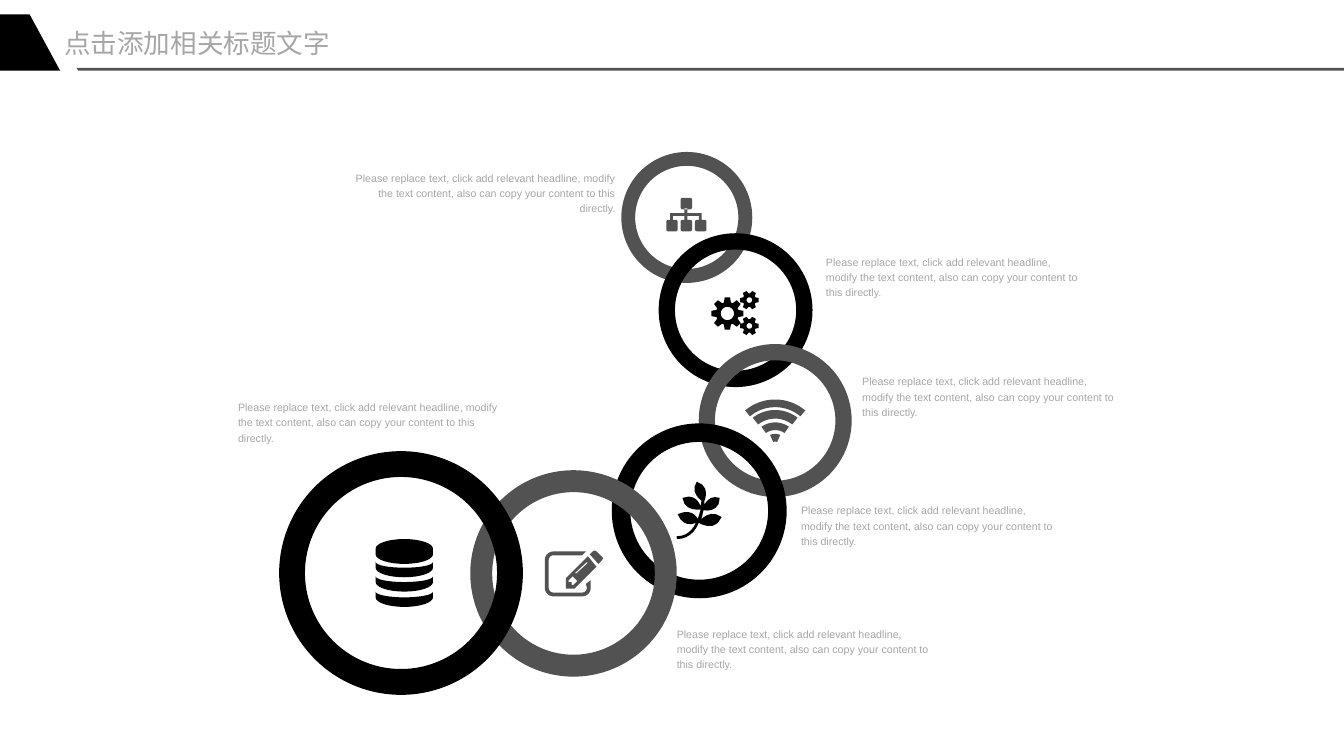
from math import cos, radians, sin

from pptx import Presentation
from pptx.dml.color import RGBColor
from pptx.enum.shapes import MSO_SHAPE
from pptx.enum.text import MSO_ANCHOR, MSO_AUTO_SIZE, PP_ALIGN
from pptx.util import Emu, Pt

DONUT = MSO_SHAPE.DONUT
TOP = MSO_ANCHOR.TOP
GROW = MSO_AUTO_SIZE.SHAPE_TO_FIT_TEXT
LEFT, RIGHT = PP_ALIGN.LEFT, PP_ALIGN.RIGHT

BLACK = RGBColor(0x00, 0x00, 0x00)
DARK = RGBColor(0x52, 0x52, 0x52)
PALE = RGBColor(0xA6, 0xA6, 0xA6)
FONT = "Arial"
WIDE, HIGH = 1406, 791
NOTE = ("Please replace text, click add relevant headline, modify the text "
        "content, also can copy your content to this directly.")


def px(n):
    """Turn px, 100 to the inch, into EMU."""
    return Emu(round(n * 9144))


def paint(shape, color):
    shape.shadow.inherit = False
    shape.fill.solid()
    shape.fill.fore_color.rgb = color
    shape.line.fill.background()


def draw(slide, x, y, loops, color):
    """Draw closed loops, given relative to x, y, as one shape."""
    pen = None
    for loop in loops:
        first, *rest = [(px(x + a), px(y + b)) for a, b in loop]
        if pen is None:
            pen = slide.shapes.build_freeform(*first, scale=1.0)
        else:
            pen.move_to(*first)
        pen.add_line_segments(rest, close=True)
    paint(pen.convert_to_shape(), color)


def write(shape, text, size=8, align=LEFT, lead=None, after=0):
    frame = shape.text_frame
    frame.margin_left = frame.margin_right = 0
    frame.margin_top = frame.margin_bottom = 0
    frame.word_wrap = True
    frame.auto_size = GROW
    frame.vertical_anchor = TOP
    frame.text = text
    para = frame.paragraphs[0]
    para.alignment = align
    para.line_spacing = lead
    para.space_before = Pt(0)
    para.space_after = Pt(after)
    para.font.size = Pt(size)
    para.font.name = FONT
    para.font.bold = False
    para.font.color.rgb = PALE


def arc(cx, cy, rx, ry, start, end, steps=16):
    """Points along an ellipse, in degrees clockwise from the right."""
    turns = [radians(start + (end - start) * i / steps)
             for i in range(steps + 1)]
    return [(cx + rx * cos(t), cy + ry * sin(t)) for t in turns]


def curve(points, steps=6):
    """Points along a chain of cubic curves."""
    out = [points[0]]
    for i in range(0, len(points) - 1, 3):
        a, b, c, d = points[i:i + 4]
        for k in range(1, steps + 1):
            t = k / steps
            u = 1 - t
            out.append(tuple(
                u**3 * p + 3 * u * u * t * q + 3 * u * t * t * r + t**3 * s
                for p, q, r, s in zip(a, b, c, d)))
    return out


def tile(x, y, w, h, r):
    """A rectangle with round corners."""
    spots = [(x + r, y + r, 180), (x + w - r, y + r, 270),
             (x + w - r, y + h - r, 0), (x + r, y + h - r, 90)]
    return [p for cx, cy, t in spots for p in arc(cx, cy, r, r, t, t + 90, 4)]


def gear(cx, cy, tip, root, hole, teeth):
    step = 360 / teeth
    rim = []
    for i in range(teeth):
        for r, part in ((root, -.4), (tip, -.21), (tip, .21), (root, .4)):
            t = radians(step * (i + part))
            rim.append((cx + r * cos(t), cy + r * sin(t)))
    return [rim, arc(cx, cy, hole, hole, 0, 360)]


def chart():
    bus = [(19, 11), (22, 11), (22, 16), (37, 16), (37, 23), (34, 23),
           (34, 19), (22, 19), (22, 23), (19, 23), (19, 19), (7, 19),
           (7, 23), (4, 23), (4, 16), (19, 16)]
    spots = [(15, 0), (0, 23), (15, 23), (30, 23)]
    return [bus] + [tile(x, y, 12, 12, 2) for x, y in spots]


def gears():
    return (gear(17, 23, 17, 12, 7, 8) + gear(40, 9, 10, 7, 3, 6)
            + gear(40, 36, 10, 7, 3, 6))


def waves():
    bands = [(49, 41, 40), (38, 29, 38), (25, 17, 35), (13, 5, 24)]
    return [arc(31, 49, out, out, 270 - t, 270 + t)
            + arc(31, 49, inn, inn, 270 + t, 270 - t)
            for out, inn, t in bands]


def leaf():
    return [curve([
        (23, 43), (19, 54), (10, 60), (1, 60), (0, 60), (0, 59), (0, 58),
        (0, 57), (0, 57), (1, 57), (9, 57), (16, 52), (20, 43),
        (16, 45), (6, 47), (1, 34), (14, 28), (20, 35), (22, 39),
        (23, 36), (24, 33), (25, 29), (25, 29), (8, 32), (6, 17),
        (21, 11), (25, 26), (25, 26), (25, 25), (26, 20), (26, 20),
        (26, 20), (13, 11), (21, 0), (36, 5), (29, 20), (29, 20),
        (29, 20), (29, 23), (29, 24), (29, 24), (34, 13), (45, 17),
        (45, 33), (28, 30), (28, 30), (27, 33), (27, 37), (25, 40),
        (25, 40), (35, 28), (47, 37), (40, 54), (23, 43), (23, 43)])]


def pencil():
    left, right, top, low = 9, 39, 10, 39
    frame = ([(43, 1)] + arc(left, top, 9, 9, 270, 180)
             + arc(left, low, 9, 9, 180, 90) + arc(right, low, 9, 9, 90, 0)
             + [(48, 31), (43, 35)] + arc(right, low, 5, 5, 0, 90)
             + arc(left, low, 5, 5, 90, 180)
             + arc(left, top, 5, 5, 180, 270) + [(39, 5)])
    body = [(54, 17), (31, 40), (22, 40), (22, 29), (45, 6)]
    nib = [(34, 32), (29, 27), (25, 31), (25, 33), (28, 33), (28, 36),
           (30, 36)]
    slit = [(44, 12), (32, 23), (32, 24), (33, 24), (45, 13)]
    cap = [(56, 14), (47, 4), (50, 1), (52, 0), (54, 1), (59, 6), (61, 8),
           (59, 11)]
    return [frame, body, nib, slit, cap]


def disks():
    lid = arc(30, 16, 30, 10, 0, 180) + arc(30, 10, 30, 10, 180, 360)
    return [lid] + [arc(30, y + 6, 30, 10, 0, 180)
                    + arc(30, y, 30, 6, 180, 0) for y in (24, 39, 55)]


# Ring (x, y, size), color, icon, icon spot, note (x, y, width), alignment
LINKS = [
    ((650, 159, 137), DARK, chart, (697, 207), (371, 177, 273), RIGHT),
    ((689, 244, 161), BLACK, gears, (744, 305), (864, 265, 271), LEFT),
    ((731, 360, 160), DARK, waves, (780, 418), (902, 390, 271), LEFT),
    ((640, 443, 183), BLACK, leaf, (708, 504), (838, 525, 271), LEFT),
    ((492, 492, 216), DARK, pencil, (570, 576), (708, 654, 271), LEFT),
    ((292, 472, 255), BLACK, disks, (393, 564), (249, 417, 273), LEFT),
]


def header(slide, x, y, w, h):
    """Title, wedge at the left and rule along the foot of the box."""
    title = slide.shapes.title
    title.left, title.top = px(x + 67), px(y + 13)
    title.width, title.height = px(335), px(34)
    write(title, "点击添加相关标题文字", size=20, after=6)
    draw(slide, x, y, [[(80, h - 3), (w, h - 3), (w, h), (82, h)]], DARK)
    draw(slide, x, y, [[(31, 0), (63, h), (0, h), (0, 0)]], BLACK)


def link(slide, ring, color, icon, spot, note, align):
    x, y, size = ring
    donut = slide.shapes.add_shape(DONUT, px(x), px(y), px(size), px(size))
    donut.adjustments[0] = 0.106
    paint(donut, color)
    draw(slide, *spot, icon(), color)
    x, y, w = note
    box = slide.shapes.add_textbox(px(x), px(y), px(w), px(47))
    write(box, NOTE, align=align, lead=1.2)


def main():
    deck = Presentation()
    deck.slide_width, deck.slide_height = px(WIDE), px(HIGH)
    slide = deck.slides.add_slide(deck.slide_layouts[5])
    header(slide, 0, 15, WIDE, 59)
    for row in LINKS:
        link(slide, *row)
    deck.save("out.pptx")


if __name__ == "__main__":
    main()
